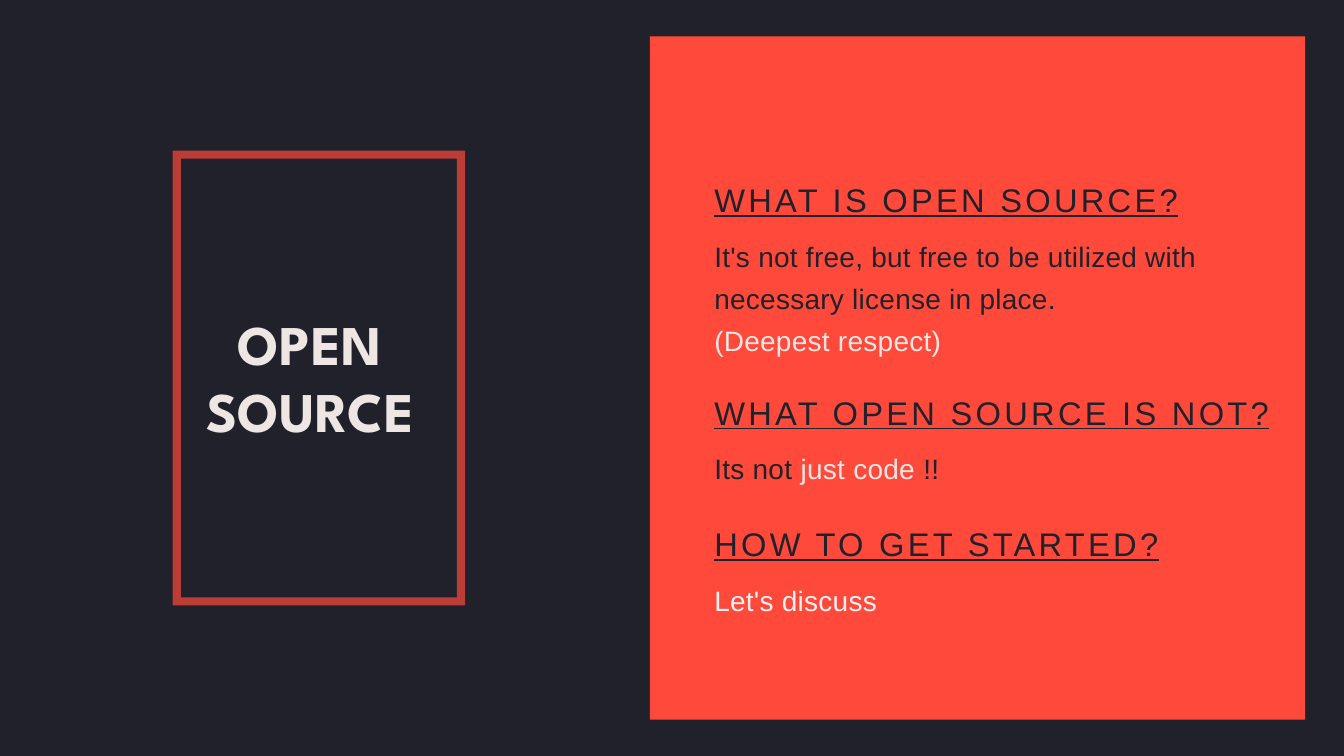
from dataclasses import dataclass

from lxml import etree
from pptx import Presentation
from pptx.dml.color import RGBColor
from pptx.enum.shapes import MSO_SHAPE
from pptx.enum.text import MSO_ANCHOR, MSO_AUTO_SIZE, PP_ALIGN
from pptx.oxml.ns import qn
from pptx.util import Inches, Pt

RECTANGLE, FRAME = MSO_SHAPE.RECTANGLE, MSO_SHAPE.FRAME
TOP, NO_FIT = MSO_ANCHOR.TOP, MSO_AUTO_SIZE.NONE
LEFT, CENTER = PP_ALIGN.LEFT, PP_ALIGN.CENTER
TITLE_ONLY = 5


@dataclass(frozen=True)
class TextStyle:
    """Type settings shared by one level of text, in points."""
    font: str
    size: float
    line: float
    tracking: float
    align: int = LEFT
    bold: bool = False
    underline: bool = False


@dataclass(frozen=True)
class Theme:
    """Colours and type levels of the slide."""
    dark: str = "20212A"
    red: str = "FF4A3B"
    cream: str = "EDE6E2"
    pale: str = "F2F2F2"
    title: TextStyle = TextStyle("League Spartan", 60, 72, 0.6, CENTER, bold=True)
    heading: TextStyle = TextStyle("Arial", 35, 45.5, 3.5, underline=True)
    body: TextStyle = TextStyle("Arial", 30, 45, 0.3)


THEME = Theme()
TEXT_LEFT, TEXT_WIDTH, HEADING_HEIGHT, BODY_OFFSET = 10.63, 8.4, 0.59, 0.81
SECTIONS = [
    (2.63, "WHAT IS OPEN SOURCE?", 1.82, [
        [("It's not free, but free to be utilized with necessary license in place.", THEME.dark)],
        [("(Deepest respect)", THEME.cream)],
    ]),
    (5.79, "WHAT OPEN SOURCE IS NOT?", 0.58, [
        [("Its not ", THEME.dark), ("just code", THEME.cream), (" !!", THEME.dark)],
    ]),
    (7.75, "HOW TO GET STARTED?", 0.58, [[("Let's discuss", THEME.pale)]]),
]


def write_text(frame, paragraphs, style):
    """Fill a text frame with paragraphs of (text, colour) runs in one style."""
    frame.margin_left = frame.margin_top = frame.margin_right = frame.margin_bottom = 0
    frame.word_wrap = True
    frame.auto_size = NO_FIT
    frame.vertical_anchor = TOP
    for index, pieces in enumerate(paragraphs):
        paragraph = frame.add_paragraph() if index else frame.paragraphs[0]
        paragraph.alignment = style.align
        paragraph.line_spacing = Pt(style.line)
        paragraph.space_before = Pt(0)
        for text, color in pieces:
            run = paragraph.add_run()
            run.text = text
            run.font.name = style.font
            run.font.size = Pt(style.size)
            run.font.bold = style.bold
            run.font.underline = style.underline
            run.font.color.rgb = RGBColor.from_string(color)
            run._r.get_or_add_rPr().set("spc", str(round(style.tracking * 100)))


def add_block(slide, preset, left, top, width, height, color):
    """Add a flat filled shape without outline."""
    block = slide.shapes.add_shape(
        preset, Inches(left), Inches(top), Inches(width), Inches(height))
    block.shadow.inherit = False
    block.fill.solid()
    block.fill.fore_color.rgb = RGBColor.from_string(color)
    block.line.fill.background()
    return block


def add_title_frame(slide):
    """Add the translucent hollow frame around the title."""
    width, thickness = 4.35, 0.12
    title_frame = add_block(slide, FRAME, 2.57, 2.24, width, 6.77, THEME.red)
    title_frame.adjustments[0] = thickness / width
    color = title_frame._element.spPr.find(f"{qn('a:solidFill')}/{qn('a:srgbClr')}")
    etree.SubElement(color, qn("a:alpha")).set("val", "70000")


def place_title(slide, lines):
    """Move and format the title placeholder."""
    title = slide.shapes.title
    title.left, title.top = Inches(1.1), Inches(4.61)
    title.width, title.height = Inches(7.26), Inches(2.01)
    write_text(title.text_frame, [[(line, THEME.cream)] for line in lines], THEME.title)


def add_text(slide, top, height, paragraphs, style):
    """Add a text box in the panel's text column."""
    box = slide.shapes.add_textbox(
        Inches(TEXT_LEFT), Inches(top), Inches(TEXT_WIDTH), Inches(height))
    write_text(box.text_frame, paragraphs, style)


def add_section(slide, top, heading, body_height, body):
    """Add an underlined heading with its answer below."""
    add_text(slide, top, HEADING_HEIGHT, [[(heading, THEME.dark)]], THEME.heading)
    add_text(slide, top + BODY_OFFSET, body_height, body, THEME.body)


def main():
    """Build the slide and save it."""
    presentation = Presentation()
    presentation.slide_width, presentation.slide_height = Inches(20), Inches(11.25)
    slide = presentation.slides.add_slide(presentation.slide_layouts[TITLE_ONLY])
    slide.background.fill.solid()
    slide.background.fill.fore_color.rgb = RGBColor.from_string(THEME.dark)
    add_title_frame(slide)
    place_title(slide, ["OPEN ", "SOURCE "])
    add_block(slide, RECTANGLE, 9.67, 0.54, 9.75, 10.17, THEME.red)
    for section in SECTIONS:
        add_section(slide, *section)
    presentation.save("out.pptx")


if __name__ == "__main__":
    main()
